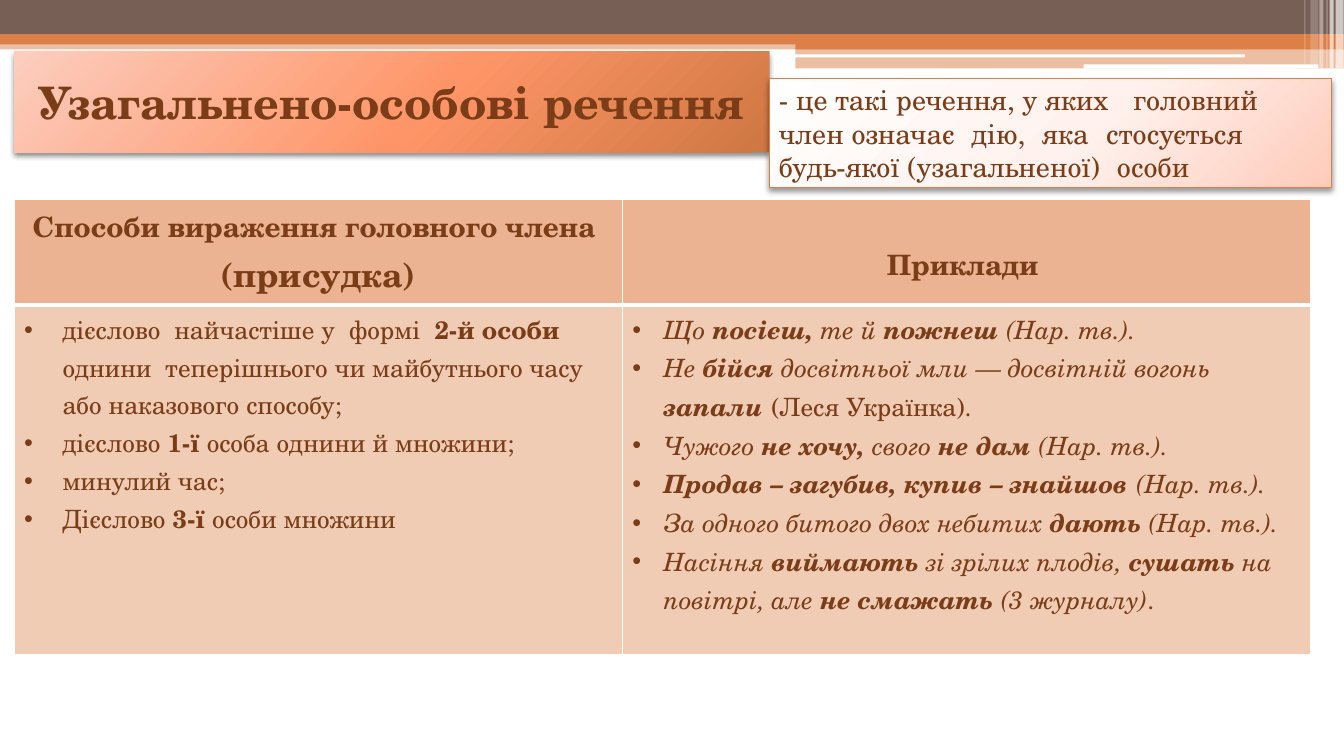
from dataclasses import dataclass

from lxml import etree
from pptx import Presentation
from pptx.dml.color import RGBColor
from pptx.enum.shapes import MSO_SHAPE
from pptx.enum.text import MSO_ANCHOR, MSO_AUTO_SIZE, PP_ALIGN
from pptx.oxml.ns import qn
from pptx.util import Inches, Pt

RECT, PILL = MSO_SHAPE.RECTANGLE, MSO_SHAPE.ROUNDED_RECTANGLE
LEFT, CENTER = PP_ALIGN.LEFT, PP_ALIGN.CENTER
MIDDLE, NO_FIT = MSO_ANCHOR.MIDDLE, MSO_AUTO_SIZE.NONE
TITLE_ONLY = 5
COLS, ROWS = 160, 90
NO_BREAK_SPACE = chr(160)


@dataclass(frozen=True)
class Theme:
    font: str = "TeX Gyre Schola"
    text: str = "7B3D17"
    brown: str = "775F55"
    orange: str = "DD8047"
    white: str = "FFFFFF"
    header_fill: str = "EBB391"
    body_fill: str = "F1CCB5"
    title_gradient: tuple = ((0, "FDCEBF"), (55, "FE9568"), (100, "CE7742"))
    note_gradient: tuple = ((0, "FFFEFE"), (55, "FFF2EE"), (100, "FFCBBA"))
    title_size: int = 32
    large_size: int = 24
    medium_size: int = 20
    body_size: int = 18


def node(parent, tag, **attrs):
    return etree.SubElement(parent, qn(tag), {k: str(v) for k, v in attrs.items()})


def add_color(parent, color, alpha=100):
    clr = node(parent, "a:srgbClr", val=color)
    if alpha < 100:
        node(clr, "a:alpha", val=alpha * 1000)


def add_text(p, text, theme, size, bold=False, italic=False):
    """Add runs; * switches bold, _ switches italic, ~ is a no-break space."""
    for i, part in enumerate(text.replace("~", NO_BREAK_SPACE).split("_")):
        for j, piece in enumerate(part.split("*")):
            if not piece:
                continue
            r = p.add_run()
            r.text = piece
            r.font.name, r.font.size = theme.font, Pt(size)
            r.font.bold = bold != bool(j % 2)
            r.font.italic = italic != bool(i % 2)
            r.font.color.rgb = RGBColor.from_string(theme.text)


def add_bullet(p, indent):
    pPr = p._p.get_or_add_pPr()
    pPr.set("marL", str(Inches(indent)))
    pPr.set("indent", str(-Inches(indent)))
    node(pPr, "a:buFont", typeface="Arial")
    node(pPr, "a:buChar", char="•")


class Slide:
    def __init__(self, prs, theme):
        self.theme = theme
        self.slide = prs.slides.add_slide(prs.slide_layouts[TITLE_ONLY])
        self.col, self.row = prs.slide_width / COLS, prs.slide_height / ROWS

    def box(self, x, y, w, h):
        return (round(x * self.col), round(y * self.row),
                round(w * self.col), round(h * self.row))

    def band(self, place, color, alpha=100, kind=RECT):
        sp = self.slide.shapes.add_shape(kind, *self.box(*place))
        sp.fill.solid()
        sp.fill.fore_color.rgb = RGBColor.from_string(color)
        if alpha < 100:
            clr = sp._element.spPr.find(qn("a:solidFill"))[0]
            node(clr, "a:alpha", val=alpha * 1000)
        sp.line.fill.background()
        sp.shadow.inherit = False

    def panel(self, sp, text, gradient, size, align, bold=False, shadow=40, line=None):
        """Give a shape a radial gradient, a soft shadow and one paragraph."""
        spPr = sp._element.spPr
        grad = node(spPr, "a:gradFill", rotWithShape=1)
        stops = node(grad, "a:gsLst")
        for pos, color in gradient:
            add_color(node(stops, "a:gs", pos=pos * 1000), color)
        circle = node(grad, "a:path", path="circle")
        node(circle, "a:fillToRect", l=-40000, t=-90000, r=140000, b=190000)
        if line:
            sp.line.color.rgb = RGBColor.from_string(line)
            sp.line.width = Pt(0.75)
        else:
            sp.line.fill.background()
        sp.shadow.inherit = False
        outer = node(spPr.find(qn("a:effectLst")), "a:outerShdw", blurRad=Pt(4),
                     dist=Pt(2), dir=90 * 60000, rotWithShape=0)
        add_color(outer, "000000", shadow)
        tf = sp.text_frame
        tf.word_wrap, tf.auto_size, tf.vertical_anchor = True, NO_FIT, MIDDLE
        p = tf.paragraphs[0]
        p.alignment = align
        add_text(p, text, self.theme, size, bold)

    def title(self, place, text):
        sp = self.slide.shapes.title
        sp.left, sp.top, sp.width, sp.height = self.box(*place)
        self.panel(sp, text, self.theme.title_gradient, self.theme.title_size,
                   CENTER, bold=True, shadow=45)

    def note(self, place, text):
        sp = self.slide.shapes.add_shape(RECT, *self.box(*place))
        self.panel(sp, text, self.theme.note_gradient, self.theme.medium_size,
                   LEFT, line=self.theme.orange)

    def table(self, x, y, widths, heights):
        place = self.box(x, y, sum(widths), sum(heights))
        table = self.slide.shapes.add_table(len(heights), len(widths), *place).table
        table.horz_banding = False
        for column, w in zip(table.columns, widths):
            column.width = round(w * self.col)
        for row, h in zip(table.rows, heights):
            row.height = round(h * self.row)
        return table

    def style_cell(self, cell, fill, bottom=1):
        tcPr = cell._tc.get_or_add_tcPr()
        for side, width in (("L", 1), ("R", 1), ("T", 1), ("B", bottom)):
            ln = node(tcPr, f"a:ln{side}", w=Pt(width))
            add_color(node(ln, "a:solidFill"), self.theme.white)
        cell.fill.solid()
        cell.fill.fore_color.rgb = RGBColor.from_string(fill)

    def header_cell(self, cell, pieces):
        self.style_cell(cell, self.theme.header_fill, bottom=3)
        p = cell.text_frame.paragraphs[0]
        p.alignment = CENTER
        for text, size in pieces:
            add_text(p, text, self.theme, size, bold=True)

    def list_cell(self, cell, items, indent, italic=False):
        self.style_cell(cell, self.theme.body_fill)
        tf = cell.text_frame
        for i, item in enumerate(items):
            p = tf.add_paragraph() if i else tf.paragraphs[0]
            add_bullet(p, indent)
            add_text(p, item, self.theme, self.theme.body_size, italic=italic)


FORMS = [
    "дієслово  найчастіше у  формі  *2-й особи *однини  теперішнього чи "
    "майбутнього часу або наказового способу;",
    "дієслово *1-ї* особа однини й множини;",
    "минулий час;",
    "Дієслово *3-ї *особи множини",
]
EXAMPLES = [
    "Що *посієш,* те й *пожнеш *(Нар. тв.).",
    "Не *бійся* досвітньої мли — досвітній вогонь *запали~*_(Леся Українка).",
    "Чужого *не хочу, *свого *не дам *(Нар. тв.).",
    "*Продав – загубив, купив – знайшов*~(Нар. тв.).",
    "Зa одного битого двох небитих *дають* (Нар. тв.).",
    "Насіння *виймають* зі зрілих плодів, *сушать* на повітрі, але "
    "*не смажать *(3 журналу)_.",
]
# Left, width, height and opacity of the light stripes in the corner
STRIPES = [(159, 0.96, 8.16, 65), (158.28, 0.48, 8.16, 65), (157.92, 0.12, 8.16, 60),
           (157.08, 0.48, 8.16, 40), (156, 0.96, 7.68, 20), (155.28, 0.12, 7.68, 30)]


def main():
    prs = Presentation()
    prs.slide_width, prs.slide_height = Inches(13.33), Inches(7.5)
    theme = Theme()
    s = Slide(prs, theme)

    s.band((0, 4.8, COLS, 1.08), theme.orange, 50)
    s.band((0, 0, COLS, 4.08), theme.brown)
    s.band((0, 4.08, COLS, 1.2), theme.orange)
    s.band((94.68, 4.68, 65.32, 1.2), theme.orange)
    s.band((94.68, 5.76, 65.32, 2.4), theme.orange, 50)
    s.band((94.56, 6.48, 53.64, 0.36), theme.white, kind=PILL)
    s.band((129, 7.68, 27.96, 0.48), theme.white, kind=PILL)
    for x, w, h, alpha in STRIPES:
        s.band((x, 0, w, h), theme.white, alpha)

    s.title((1.68, 6.12, 89.88, 12), "Узагальнено-особові речення")
    s.note((91.56, 9.36, 66.96, 12.96),
           "- це такі речення, у яких~  головний~ член означає~ дію,~ яка~ "
           "стосується~ будь-якої (узагальненої)~ особи")

    table = s.table(1.68, 23.76, widths=(72.4, 82), heights=(12.4, 41.6))
    s.header_cell(table.cell(0, 0),
                  [("Способи вираження головного члена  ", theme.medium_size),
                   ("(присудка)", theme.large_size)])
    s.header_cell(table.cell(0, 1), [("Приклади ", theme.medium_size)])
    table.cell(0, 1).margin_top = round(5.1 * s.row)
    s.list_cell(table.cell(1, 0), FORMS, 0.38)
    s.list_cell(table.cell(1, 1), EXAMPLES, 0.31, italic=True)
    prs.save("out.pptx")


if __name__ == "__main__":
    main()
